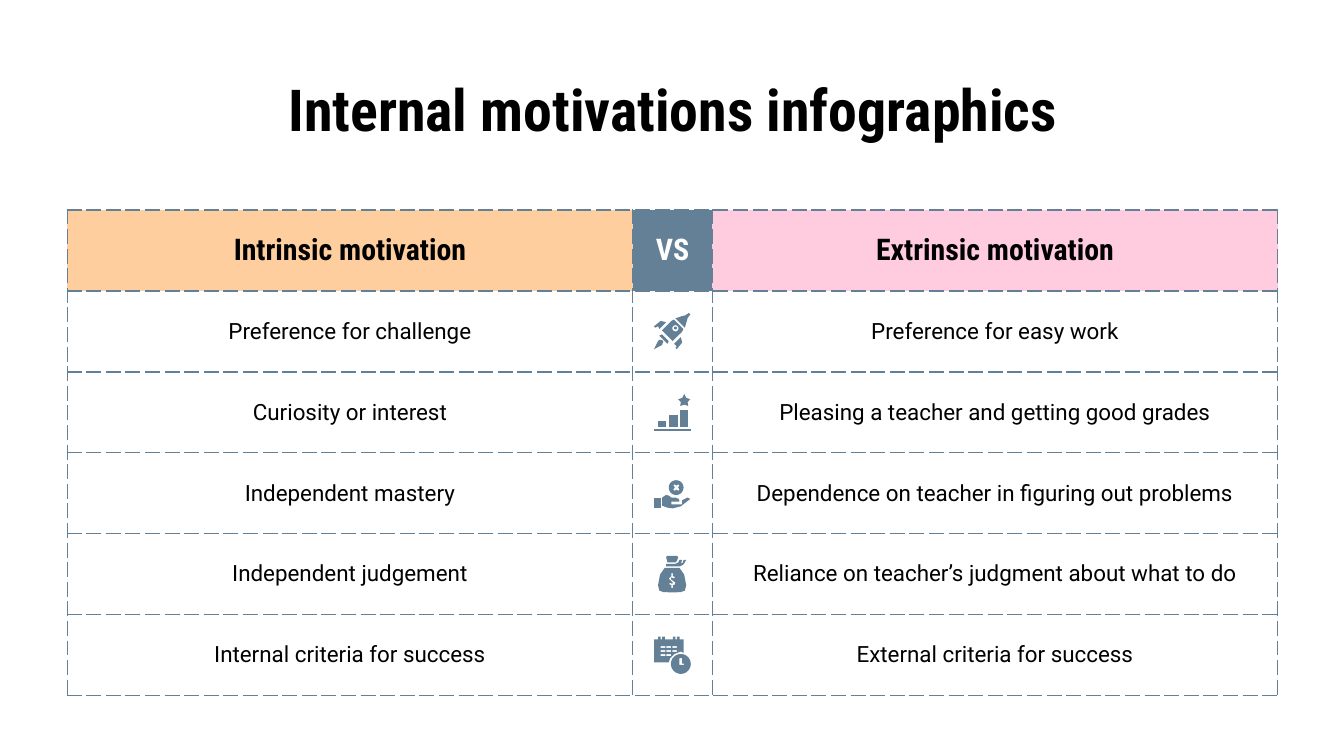
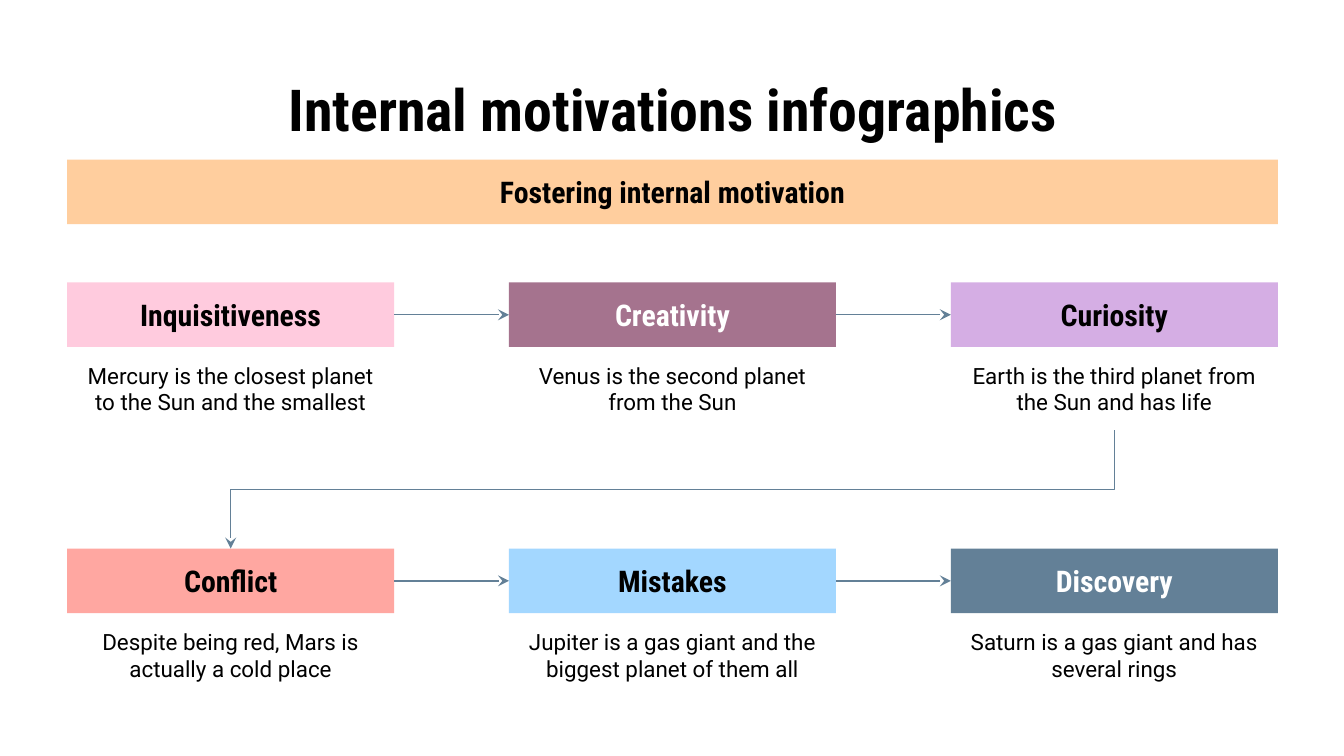
from itertools import product
from math import cos, pi, sin

from lxml.etree import SubElement
from pptx import Presentation
from pptx.dml.color import RGBColor
from pptx.enum.shapes import MSO_CONNECTOR as Link, MSO_SHAPE as Form
from pptx.enum.text import MSO_ANCHOR as Anchor, PP_ALIGN as Align
from pptx.oxml.ns import qn
from pptx.util import Cm, Pt

BLACK, WHITE, SLATE = "000000", "FFFFFF", "638097"
PEACH, PINK = "FFCE9E", "FFCBDE"
BODY = {"name": "Roboto", "size": Pt(12), "bold": False}
HEAD = {"name": "Roboto Condensed", "size": Pt(16), "bold": True}
TITLE = HEAD | {"size": Pt(31)}
PAD = Cm(0.25)
INSET = {f"margin_{side}": PAD for side in ("left", "top", "right", "bottom")}

LEFT, WIDE = Cm(1.27), Cm(22.88)
TOPIC = "Internal motivations infographics"


def box(x, y, w, h):
    """Return the corners of a rectangle."""
    return [(x, y), (x + w, y), (x + w, y + h), (x, y + h)]


def disc(x, y, r, n=32):
    """Return points round a circle."""
    return [(x + r * cos(2 * pi * i / n), y + r * sin(2 * pi * i / n)) for i in range(n)]


DATES = [box(x, y, 3.4, 1.4) for x, y in product((5, 9.3, 13.7), (7, 10, 13))][:-1]

ROCKET = [
    [[(15, 5), (13, 6), (6, 13), (14, 21), (21, 14), (22, 12)], disc(16, 11.5, 2.3)],
    [disc(16, 11.3, 1.1)],
    [[(6, 16), (4, 17), (10, 23), (11, 21)]],
    [[(20, 18), (15, 23), (17, 25), (16, 26), (17, 27), (21, 22)]],
    [[(5, 6), (0, 10), (1, 11), (3, 10), (4, 12), (9, 7)]],
    [[(4, 20), (3, 21), (0, 27), (6, 24), (7, 21), (5.5, 20)]],
    [[(26, 0), (23, 2), (22, 2), (16, 4), (23, 11), (25, 4), (27, 1)]],
]
GROWTH = [
    [box(19, 12, 6.5, 13)],
    [box(11, 16, 6.5, 9)],
    [box(3, 20, 6, 5)],
    [[(22.5, 0), (21, 3), (18, 4), (20, 6), (19.5, 9), (22.5, 8),
      (25.5, 9), (25, 6), (27, 4), (24, 3)]],
    [box(0, 26, 27.5, 1.6)],
]
HAND = [
    [disc(16.5, 9.5, 5.5),
     [(18, 7), (19, 8), (18, 9.3), (19, 11), (18, 12), (16.7, 11), (15.5, 12),
      (14.3, 11), (15.5, 9.3), (14.3, 8), (15.5, 7), (16.7, 8)]],
    [box(0, 17, 5, 8)],
    [[(9, 15), (6, 17), (6, 23), (10, 24.5), (14, 25), (20, 23.5), (27, 18), (25, 17),
      (23, 18), (21, 19), (21, 22), (13, 22), (13, 20), (19, 20), (18.5, 18),
      (16, 17), (13, 17), (11, 15.5)]],
]
PURSE = [
    [[(13, 0), (10, 0), (9, 1), (10, 5), (16, 5), (17, 4), (18, 1), (17, 0)]],
    [[(19, 3), (18, 5), (16, 6), (9, 6), (9, 8), (19, 8), (22, 6.5), (24, 3),
      (22, 3), (21.5, 5), (20, 6), (21, 3)]],
    [[(8, 9), (4.5, 14), (3, 22), (4, 26), (7, 27), (14, 27.3), (20, 27), (23, 26),
      (24, 22), (22.5, 14), (19, 9)],
     [(14, 13), (14, 15), (16, 16), (14.5, 17), (13, 16), (12.7, 17.5), (16, 20),
      (15.5, 21.5), (14, 22), (14, 24), (13, 24), (13, 22), (11, 21), (12.5, 20),
      (13.5, 21), (14, 20), (11, 17), (13, 15), (13, 13)]],
]
DIARY = [
    [[(3, 0), (3, 2), (0, 2), (0, 19), (11, 19), (12, 16), (15, 13), (20, 11), (22, 12),
      (22, 2), (19, 2), (19, 0), (17, 0), (17, 2), (16, 2), (16, 0), (14, 0), (14, 2),
      (8, 2), (8, 0), (6, 0), (6, 2), (5, 2), (5, 0)], *DATES],
    [disc(20, 20.3, 7.4),
     [(21, 16), (21, 20), (22.5, 20), (22.5, 21), (19, 21), (19, 16)]],
]

HEADS = [("Intrinsic motivation", BLACK, PEACH), ("VS", WHITE, SLATE),
         ("Extrinsic motivation", BLACK, PINK)]
ROWS = [
    ("Preference for challenge", ROCKET, "Preference for easy work"),
    ("Curiosity or interest", GROWTH, "Pleasing a teacher and getting good grades"),
    ("Independent mastery", HAND, "Dependence on teacher in figuring out problems"),
    ("Independent judgement", PURSE, "Reliance on teacher’s judgment about what to do"),
    ("Internal criteria for success", DIARY, "External criteria for success"),
]
STEPS = [
    ("Inquisitiveness", "Mercury is the closest planet to the Sun and the smallest", BLACK, PINK),
    ("Creativity", "Venus is the second planet from the Sun", WHITE, "A5738E"),
    ("Curiosity", "Earth is the third planet from the Sun and has life", BLACK, "D5AEE4"),
    ("Conflict", "Despite being red, Mars is actually a cold place", BLACK, "FFA7A1"),
    ("Mistakes", "Jupiter is a gas giant and the biggest planet of them all", BLACK, "A3D7FF"),
    ("Discovery", "Saturn is a gas giant and has several rings", WHITE, SLATE),
]


def paint(fill, tone):
    """Fill with one solid colour."""
    fill.solid()
    fill.fore_color.rgb = RGBColor.from_string(tone)


def write(frame, text, fmt, tone=BLACK):
    """Put one centred line of styled text in a frame."""
    para = frame.paragraphs[0]
    para.alignment = Align.CENTER
    run = para.add_run()
    run.text = text
    for key, val in fmt.items():
        setattr(run.font, key, val)
    run.font.color.rgb = RGBColor.from_string(tone)


def label(shapes, area, text, fmt, anchor=Anchor.MIDDLE):
    """Add a wrapped text box."""
    frame = shapes.add_textbox(*area).text_frame
    for key, val in (INSET | {"word_wrap": True, "vertical_anchor": anchor}).items():
        setattr(frame, key, val)
    write(frame, text, fmt)


def bar(shapes, area, text, tone, back):
    """Add a filled heading bar."""
    rect = shapes.add_shape(Form.RECTANGLE, *area)
    rect.shadow.inherit = False
    rect.line.fill.background()
    paint(rect.fill, back)
    for key, val in (INSET | {"vertical_anchor": Anchor.MIDDLE}).items():
        setattr(rect.text_frame, key, val)
    write(rect.text_frame, text, HEAD, tone)
    return rect


def begin(deck):
    """Add a blank slide with the shared title."""
    shapes = deck.slides.add_slide(deck.slide_layouts[6]).shapes
    label(shapes, (LEFT, Cm(1.14), WIDE, Cm(1.57)), TOPIC, TITLE, Anchor.TOP)
    return shapes


def edge(cell):
    """Draw dashed borders round a cell."""
    props = cell._tc.get_or_add_tcPr()
    for side in ("lnL", "lnR", "lnT", "lnB"):
        line = SubElement(props, qn(f"a:{side}"), w=str(Pt(0.75)))
        SubElement(SubElement(line, qn("a:solidFill")), qn("a:srgbClr"), val=SLATE)
        SubElement(line, qn("a:prstDash"), val="lgDash")


def icon(shapes, parts, x, y):
    """Draw a grouped icon from outlines in hundredths of an inch."""
    group = shapes.add_group_shape().shapes
    fine = 100
    for loops in parts:
        pen = None
        for loop in loops:
            first, *rest = [(px * fine, py * fine) for px, py in loop]
            if pen is None:
                pen = group.build_freeform(*first, scale=Cm(2.54) / 100 / fine)
            else:
                pen.move_to(*first)
            pen.add_line_segments(rest, close=True)
        part = pen.convert_to_shape(x, y)
        part.shadow.inherit = False
        part.line.fill.background()
        paint(part.fill, SLATE)


def compare(deck):
    """Build the comparison table slide."""
    shapes = begin(deck)
    top, tall, mid = Cm(3.97), Cm(1.53), Cm(1.5)
    side = (WIDE - mid) // 2
    count = len(ROWS) + 1
    table = shapes.add_table(count, 3, LEFT, top, WIDE, tall * count).table
    table.first_row = table.horz_banding = False
    for col, width in zip(table.columns, (side, mid, side)):
        col.width = width
    for row in table.rows:
        row.height = tall
    for cell in table.iter_cells():
        edge(cell)
        cell.fill.background()
        for key, val in (INSET | {"vertical_anchor": Anchor.MIDDLE}).items():
            setattr(cell, key, val)
    for i, (text, tone, back) in enumerate(HEADS):
        paint(table.cell(0, i).fill, back)
        write(table.cell(0, i).text_frame, text, HEAD, tone)
    size = Cm(0.7)
    x = LEFT + (WIDE - size) // 2
    for i, (inner, parts, outer) in enumerate(ROWS, 1):
        write(table.cell(i, 0).text_frame, inner, BODY)
        write(table.cell(i, 2).text_frame, outer, BODY)
        icon(shapes, parts, x, top + tall * i + (tall - size) // 2)


def arrow(shapes, kind, *ends):
    """Add a thin connector with a stealth head."""
    link = shapes.add_connector(kind, *ends)
    link.line.width = Pt(0.75)
    paint(link.line.fill, SLATE)
    SubElement(link.line._get_or_add_ln(), qn("a:tailEnd"), type="stealth")
    SubElement(link._element.spPr, qn("a:effectLst"))
    return link


def foster(deck):
    """Build the six-step flow slide."""
    shapes = begin(deck)
    high, wide, deep = Cm(1.22), Cm(6.18), Cm(1.57)
    step, tops = (WIDE - wide) // 2, (Cm(5.34), Cm(10.37))
    bar(shapes, (LEFT, Cm(3.02), WIDE, high), "Fostering internal motivation", BLACK, PEACH)
    bars = []
    for i, (name, text, tone, back) in enumerate(STEPS):
        x, y = LEFT + step * (i % 3), tops[i // 3]
        card = shapes.add_group_shape().shapes
        label(card, (x, y + high, wide, deep), text, BODY)
        bars.append(bar(card, (x, y, wide, high), name, tone, back))
    for i, (a, b) in enumerate(zip(bars, bars[1:])):
        if i != 2:
            link = arrow(shapes, Link.STRAIGHT, 0, 0, 0, 0)
            link.begin_connect(a, 3)
            link.end_connect(b, 1)
    start = tops[0] + high + deep
    drop, run = (tops[1] - start) // 2, step
    x, y = LEFT + step + wide // 2, start + drop
    turn = arrow(shapes, Link.ELBOW, x - drop, y - run, x + drop, y + run)
    turn._element.spPr.find(qn("a:xfrm")).set("rot", str(90 * 60000))


def main():
    """Build and save the deck."""
    deck = Presentation()
    deck.slide_width, deck.slide_height = Cm(25.4), Cm(14.29)
    compare(deck)
    foster(deck)
    deck.save("out.pptx")


if __name__ == "__main__":
    main()
